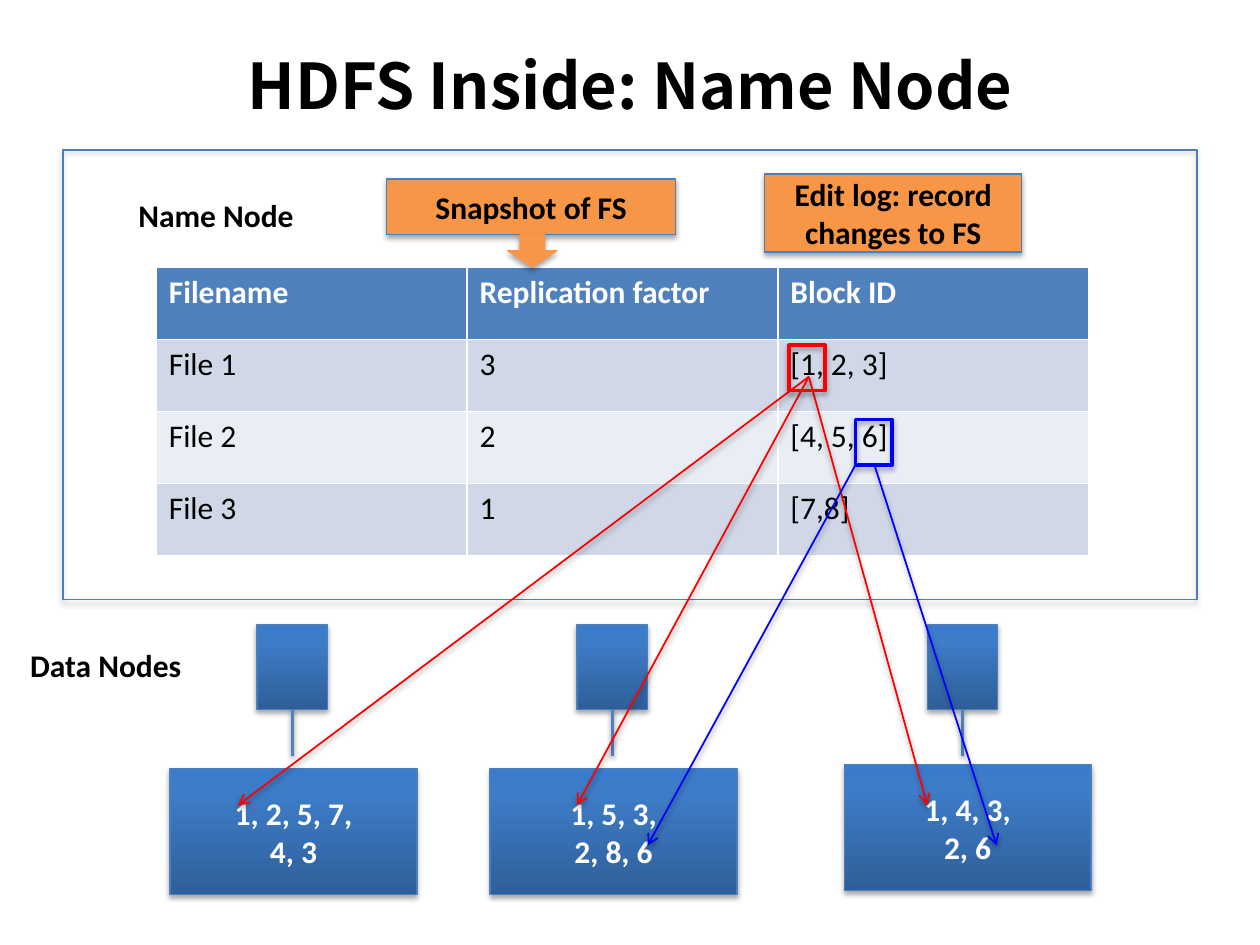
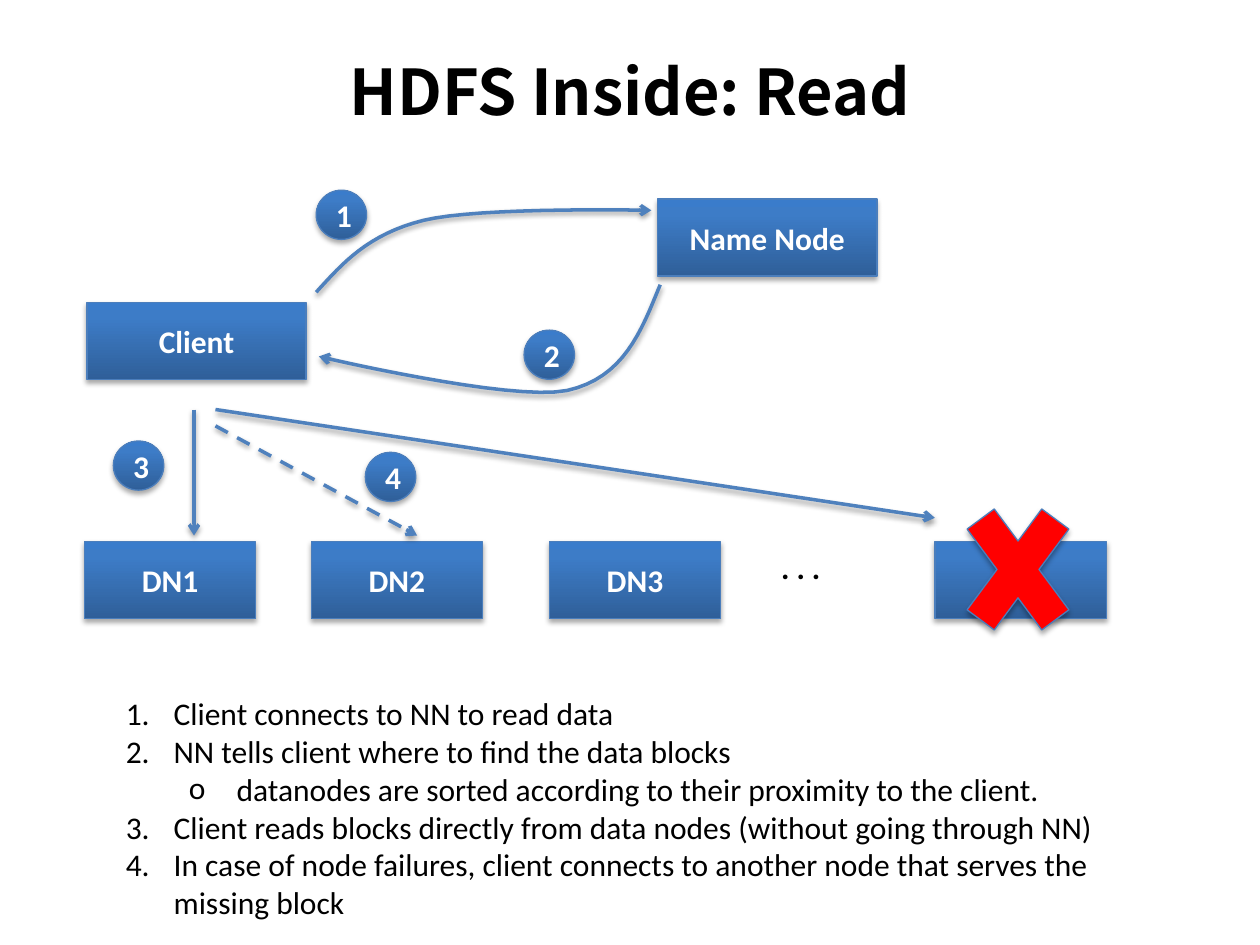
from copy import deepcopy

from pptx import Presentation
from pptx import util as u
from pptx.dml.color import RGBColor
from pptx.enum import dml, shapes, text
from pptx.oxml import ns, xmlchemy

BODY_FONT = "Calibri"
TITLE_FONT = "Noto Sans CJK SC"
BLACK, WHITE = "000000", "FFFFFF"
BLUE, EDGE = "4F81BD", "4B7EBC"
ORANGE, RED, PURE_BLUE = "F79646", "FF0000", "0000FF"
GRADIENT = [(0, "2F5F99"), (0.8, "3D7CC7"), (1, "3A7CCB")]
BANDS = ["D0D8E8", "E9EDF4"]
RECT = shapes.MSO_SHAPE.RECTANGLE
OVAL = shapes.MSO_SHAPE.OVAL

FILES = [
    ("Filename", "Replication factor", "Block ID"),
    ("File 1", "3", "[1, 2, 3]"),
    ("File 2", "2", "[4, 5, 6]"),
    ("File 3", "1", "[7,8]"),
]
READ_STEPS = [
    (0, "Client connects to NN to read data"),
    (0, "NN tells client where to find the data blocks"),
    (1, "datanodes are sorted according to their proximity to the client."),
    (0, "Client reads blocks directly from data nodes (without going through NN)"),
    (0, "In case of node failures, client connects to another node that "
        "serves the missing block"),
]


def rgb(value):
    return RGBColor.from_string(value)


def inches(*lengths):
    return [u.Inches(length) for length in lengths]


def add_child(parent, tag, **attributes):
    child = xmlchemy.OxmlElement(tag)
    for key, value in attributes.items():
        child.set(key, str(value))
    parent.append(child)
    return child


def cast_shadow(item, opacity=35, distance=1.8):
    """Give a finished shape or line a soft shadow straight below it."""
    properties = item._element.spPr
    effects = properties.find(ns.qn("a:effectLst"))
    if effects is None:
        effects = add_child(properties, "a:effectLst")
    outer = add_child(effects, "a:outerShdw", blurRad=u.Pt(3.1), dist=u.Pt(distance),
                      dir=90 * 60000, rotWithShape=0)
    color = add_child(outer, "a:srgbClr", val=BLACK)
    add_child(color, "a:alpha", val=opacity * 1000)


def style_runs(frame, color, size=18, bold=True, font=BODY_FONT, align=None):
    for paragraph in frame.paragraphs:
        paragraph.alignment = align
        for run in paragraph.runs:
            run.font.name, run.font.size, run.font.bold = font, u.Pt(size), bold
            run.font.color.rgb = rgb(color)


def fill_gradient(fill, element):
    fill.gradient()
    fill.gradient_angle = 90
    stop_list = element.spPr.find(".//" + ns.qn("a:gsLst"))
    stop_list.append(deepcopy(stop_list[0]))
    for stop, (position, color) in zip(fill.gradient_stops, GRADIENT):
        stop.position = position
        stop.color.rgb = rgb(color)


def add_block(slide, kind, box, label="", fill=None, edge=EDGE, weight=0.75,
              color=WHITE):
    """Add a shadowed shape; fill is "gradient", a hex colour or None."""
    block = slide.shapes.add_shape(kind, *inches(*box))
    if fill == "gradient":
        fill_gradient(block.fill, block._element)
    elif fill:
        block.fill.solid()
        block.fill.fore_color.rgb = rgb(fill)
    else:
        block.fill.background()
    block.line.color.rgb = rgb(edge)
    block.line.width = u.Pt(weight)
    block.shadow.inherit = False
    cast_shadow(block)
    if label:
        frame = block.text_frame
        frame.text = label
        frame.vertical_anchor = text.MSO_ANCHOR.MIDDLE
        style_runs(frame, color, align=text.PP_ALIGN.CENTER)


def add_node(slide, box, label="", kind=RECT):
    add_block(slide, kind, box, label, "gradient")


def add_step_badge(slide, number, left, top):
    add_node(slide, (left, top, 0.4, 0.39), str(number), OVAL)


def add_label(slide, box, words, **style):
    label = slide.shapes.add_textbox(*inches(*box))
    frame = label.text_frame
    frame.word_wrap = True
    frame.text = words
    style_runs(frame, BLACK, **style)
    return frame


def add_title(slide, words, top):
    frame = add_label(slide, (0.5, top, 9, 1.25), words, size=36, font=TITLE_FONT,
                      align=text.PP_ALIGN.CENTER)
    frame.vertical_anchor = text.MSO_ANCHOR.MIDDLE


def finish_line(item, color, weight, arrow):
    item.line.color.rgb = rgb(color)
    item.line.width = u.Pt(weight)
    if arrow:
        add_child(item._element.spPr.find(ns.qn("a:ln")), "a:tailEnd", type="arrow")
    cast_shadow(item, 38, 1.6)


def add_link(slide, start, end, color=BLUE, weight=2, arrow=True, dashed=False):
    link = slide.shapes.add_connector(shapes.MSO_CONNECTOR.STRAIGHT,
                                      *inches(*start, *end))
    if dashed:
        link.line.dash_style = dml.MSO_LINE.DASH
    finish_line(link, color, weight, arrow)


def bezier_points(p0, p1, p2, p3, steps=16):
    """Points on a cubic curve, leaving out its start."""
    for step in range(1, steps + 1):
        t = step / steps
        weights = ((1 - t) ** 3, 3 * t * (1 - t) ** 2, 3 * t * t * (1 - t), t ** 3)
        yield inches(*(sum(w * c for w, c in zip(weights, axis))
                       for axis in zip(p0, p1, p2, p3)))


def add_curved_arrow(slide, points):
    """Draw two joined cubic curves through seven control points."""
    outline = slide.shapes.build_freeform(*inches(*points[0]))
    for first in (0, 3):
        outline.add_line_segments(bezier_points(*points[first:first + 4]), close=False)
    arrow = outline.convert_to_shape()
    arrow.fill.background()
    arrow.shadow.inherit = False
    finish_line(arrow, BLUE, 2, True)


def add_file_table(slide):
    table = slide.shapes.add_table(len(FILES), len(FILES[0]),
                                   *inches(1.24, 2.12, 7.4, 2.29)).table
    for row, values in enumerate(FILES):
        header = row == 0
        for column, value in enumerate(values):
            cell = table.cell(row, column)
            cell.text_frame.text = value
            style_runs(cell.text_frame, WHITE if header else BLACK, bold=header)
            cell.fill.solid()
            cell.fill.fore_color.rgb = rgb(BLUE if header else BANDS[(row - 1) % 2])


def add_read_steps(slide):
    frame = add_label(slide, (0.9, 5.46, 8.22, 1.92),
                      "\n".join(step for _, step in READ_STEPS), bold=False)
    for paragraph, (level, _) in zip(frame.paragraphs, READ_STEPS):
        paragraph.level = level
        properties = paragraph._p.get_or_add_pPr()
        properties.set("marL", str(u.Inches(0.38 + 0.5 * level)))
        properties.set("indent", str(u.Inches(-0.38)))
        if level:
            add_child(properties, "a:buFont", typeface=BODY_FONT)
            add_child(properties, "a:buChar", char="o")
        else:
            add_child(properties, "a:buAutoNum", type="arabicPeriod")


def build_name_node(slide):
    add_block(slide, RECT, (0.5, 1.19, 9, 3.57))
    add_title(slide, "HDFS Inside: Name Node", 0.04)
    add_file_table(slide)

    data_nodes = [(2.32, 1.35, 6.1, "1, 2, 5, 7,\n4, 3"),
                  (4.86, 3.89, 6.1, "1, 5, 3,\n2, 8, 6"),
                  (7.64, 6.7, 6.07, "1, 4, 3,\n2, 6")]
    for center, left, top, blocks in data_nodes:
        add_node(slide, (center - 0.28, 4.96, 0.56, 0.67))
        add_link(slide, (center, 5.63), (center, 6), arrow=False)
        add_node(slide, (left, top, 1.96, 1), blocks)

    add_label(slide, (1, 1.51, 2.07, 0.4), "Name Node")
    add_label(slide, (0.14, 5.08, 2.07, 0.4), "Data Nodes")
    add_block(slide, RECT, (3.07, 1.42, 2.29, 0.44), "Snapshot of FS", ORANGE,
              color=BLACK)

    for replica_x in (1.89, 4.58, 7.36):
        add_link(slide, (6.42, 2.99), (replica_x, 6.39), RED, 1)
    add_block(slide, RECT, (6.26, 2.74, 0.29, 0.36), edge=RED, weight=2)
    add_block(slide, RECT, (6.79, 3.33, 0.29, 0.36), edge=PURE_BLUE, weight=2)
    for block_x, replica_x in ((6.79, 5.14), (6.94, 7.91)):
        add_link(slide, (block_x, 3.69), (replica_x, 6.71), PURE_BLUE, 1)

    add_block(slide, RECT, (6.07, 1.38, 2.04, 0.62), "Edit log: record changes to FS",
              ORANGE, color=BLACK)
    add_block(slide, shapes.MSO_SHAPE.DOWN_ARROW, (4.03, 1.86, 0.39, 0.26),
              fill=ORANGE, edge=ORANGE)


def build_read(slide):
    add_title(slide, "HDFS Inside: Read", 0.09)
    add_node(slide, (0.69, 2.4, 1.74, 0.61), "Client")
    add_node(slide, (5.22, 1.58, 1.74, 0.61), "Name Node")
    for left, name in ((0.67, "DN1"), (2.47, "DN2"), (4.36, "DN3"), (7.42, "")):
        add_node(slide, (left, 4.3, 1.36, 0.61), name)
    add_label(slide, (6.1, 4.3, 1.21, 0.4), ". . .")

    add_curved_arrow(slide, [(2.51, 2.32), (2.72, 2.09), (2.92, 1.86), (3.36, 1.75),
                             (3.8, 1.64), (5.17, 1.67), (5.17, 1.67)])
    add_step_badge(slide, 1, 2.51, 1.51)
    add_curved_arrow(slide, [(5.24, 2.26), (5.09, 2.63), (4.95, 3), (4.5, 3.1),
                             (4.05, 3.19), (2.53, 2.83), (2.53, 2.83)])
    add_step_badge(slide, 2, 4.16, 2.62)

    add_link(slide, (1.54, 3.25), (1.54, 4.25))
    add_link(slide, (1.71, 3.25), (7.42, 4.11))
    add_step_badge(slide, 3, 0.9, 3.5)
    add_block(slide, shapes.MSO_SHAPE.MATH_MULTIPLY, (7.51, 3.75, 1.14, 1.54), fill=RED)
    add_link(slide, (1.71, 3.38), (3.31, 4.25), dashed=True)
    add_step_badge(slide, 4, 2.9, 3.59)
    add_read_steps(slide)


def main():
    deck = Presentation()
    deck.slide_width, deck.slide_height = inches(10, 7.5)
    for build in (build_name_node, build_read):
        build(deck.slides.add_slide(deck.slide_layouts[6]))
    deck.save("out.pptx")


if __name__ == "__main__":
    main()
